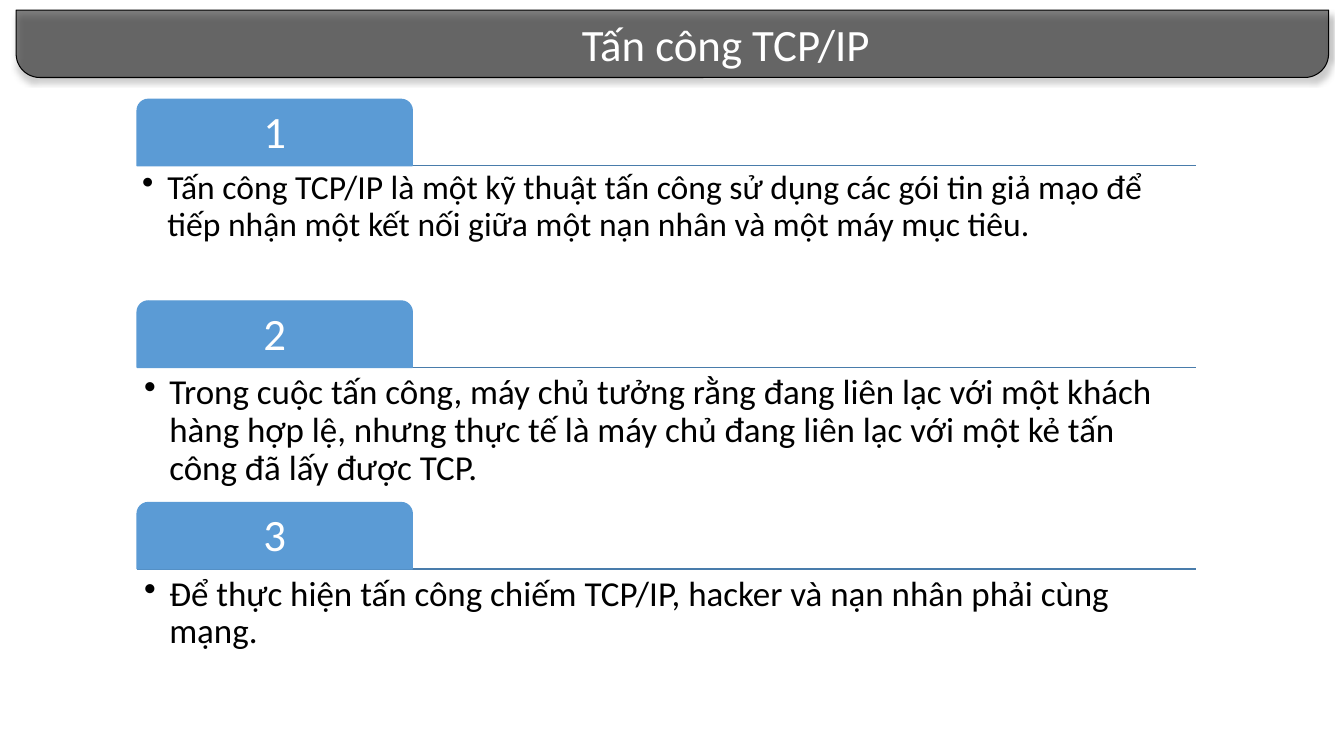
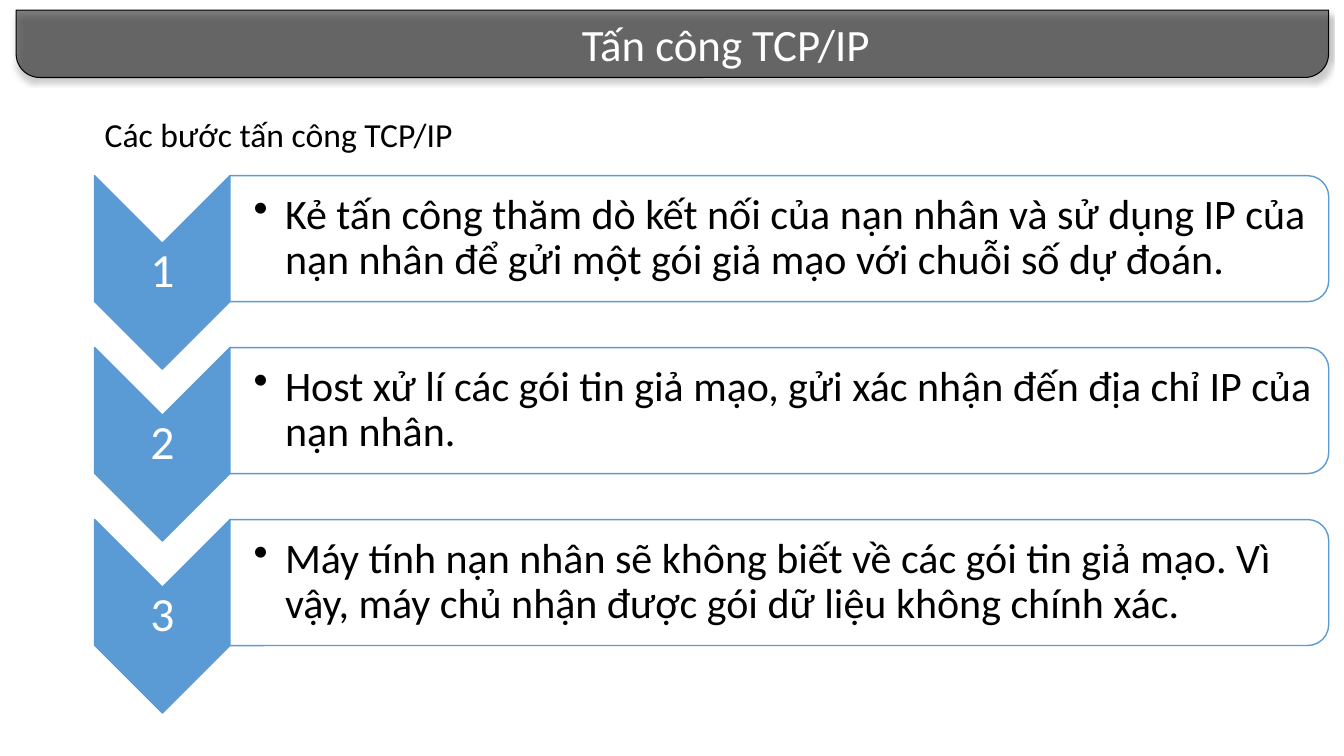
from lxml import etree
from pptx import Presentation
from pptx.dml.color import RGBColor
from pptx.enum.shapes import MSO_CONNECTOR, MSO_SHAPE
from pptx.enum.text import MSO_ANCHOR, PP_ALIGN
from pptx.oxml.ns import qn
from pptx.util import Pt

ROUND = MSO_SHAPE.ROUND_2_SAME_RECTANGLE
CHEVRON = MSO_SHAPE.CHEVRON
STRAIGHT = MSO_CONNECTOR.STRAIGHT
TOP, MIDDLE = MSO_ANCHOR.TOP, MSO_ANCHOR.MIDDLE
LEFT, CENTER = PP_ALIGN.LEFT, PP_ALIGN.CENTER

FONT = "Calibri"
COLORS = {"ink": "000000", "paper": "FFFFFF", "blue": "5B9BD5", "rule": "497CAB"}
TITLE = "Tấn công TCP/IP"

# text, size, padding
FACTS = [
    ("Tấn công TCP/IP là một kỹ thuật tấn công sử dụng các gói tin giả mạo để "
     "tiếp nhận một kết nối giữa một nạn nhân và một máy mục tiêu.", 24, 3.6),
    ("Trong cuộc tấn công, máy chủ tưởng rằng đang liên lạc với một khách hàng "
     "hợp lệ, nhưng thực tế là máy chủ đang liên lạc với một kẻ tấn công đã lấy "
     "được TCP.", 25, 5),
    ("Để thực hiện tấn công chiếm TCP/IP, hacker và nạn nhân phải cùng mạng.",
     25, 5),
]
STEPS = [
    "Kẻ tấn công thăm dò kết nối của nạn nhân và sử dụng IP của nạn nhân để gửi "
    "một gói giả mạo với chuỗi số dự đoán.",
    "Host xử lí các gói tin giả mạo, gửi xác nhận đến địa chỉ IP của nạn nhân.",
    "Máy tính nạn nhân sẽ không biết về các gói tin giả mạo. Vì vậy, máy chủ "
    "nhận được gói dữ liệu không chính xác.",
]


def color(name):
    return RGBColor.from_string(COLORS[name])


def node(parent, tag, **attrs):
    return etree.SubElement(parent, qn(tag), attrs)


def write(shape, text, size, ink="ink", align=LEFT, anchor=TOP,
          pad=(7.2, 3.6, 7.2, 3.6), space=None, bullet=0, wrap=True):
    """Fill a shape with one paragraph; bullet is the hanging indent."""
    frame = shape.text_frame
    frame.word_wrap = wrap
    frame.vertical_anchor = anchor
    (frame.margin_left, frame.margin_top,
     frame.margin_right, frame.margin_bottom) = map(Pt, pad)
    para = frame.paragraphs[0]
    para.alignment = align
    para.line_spacing = space
    if bullet:
        props = para._p.get_or_add_pPr()
        props.set("marL", str(Pt(bullet)))
        props.set("indent", str(-Pt(bullet)))
        node(props, "a:buChar", char="•")
    run = para.add_run()
    run.text = text
    run.font.name = FONT
    run.font.size = Pt(size)
    run.font.color.rgb = color(ink)


def label(slide, box, text, size, **style):
    write(slide.shapes.add_textbox(*map(Pt, box)), text, size, **style)


def draw(slide, kind, box, fill, line, width=1, turn=False):
    """Add a shape that covers box, turned a quarter clockwise if asked."""
    x, y, w, h = box
    if turn:
        x, y, w, h = x + (w - h) / 2, y + (h - w) / 2, h, w
    shape = slide.shapes.add_shape(kind, *map(Pt, (x, y, w, h)))
    shape.rotation = 90 if turn else 0
    shape.shadow.inherit = False
    shape.fill.solid()
    shape.fill.fore_color.rgb = color(fill)
    shape.line.color.rgb = color(line)
    shape.line.width = Pt(width)
    return shape


def rule(slide, x, y, w):
    line = slide.shapes.add_connector(STRAIGHT, Pt(x), Pt(y), Pt(x + w), Pt(y))
    line.line.color.rgb = color("rule")
    line.line.width = Pt(1)
    node(line._element.spPr, "a:effectLst")


def glass(shape):
    """Make the fill half clear and drop a soft shadow."""
    props = shape._element.spPr
    node(props.find(qn("a:solidFill"))[0], "a:alpha", val="50000")
    shadow = node(props.find(qn("a:effectLst")), "a:outerShdw",
                  blurRad=str(Pt(4)), dist=str(Pt(3)), dir="5400000",
                  algn="t", rotWithShape="0")
    tint = node(shadow, "a:srgbClr", val=COLORS["ink"])
    node(tint, "a:alpha", val="40000")


def start(deck):
    """Add a slide with the banner and its title."""
    slide = deck.slides.add_slide(deck.slide_layouts[5])
    band = draw(slide, ROUND, (11.5, 7.2, 937.5, 48.2), "ink", "ink", 0.75)
    band.adjustments[0], band.adjustments[1] = 0, 0.352
    glass(band)
    title = slide.shapes.title
    band._element.addnext(title._element)
    title.left, title.top, title.width, title.height = map(
        Pt, (237, 8, 563, 46))
    write(title, TITLE, 32, ink="paper", align=CENTER)
    return slide


def fact(slide, box, number, text, size, pad):
    """Numbered tab on a rule, with the text below."""
    x, y, w, h = box
    tab = 47.4
    rule(slide, x, y + tab, w)
    head = draw(slide, ROUND, (x, y, 196.5, tab), "blue", "blue")
    write(head, str(number), 32, ink="paper", align=CENTER, anchor=MIDDLE,
          pad=(5,) * 4, space=0.9)
    label(slide, (x, y + tab, w, h - tab), text, size, pad=(pad,) * 4,
          space=0.9, bullet=18)


def step(slide, box, number, text):
    """Numbered chevron pointing down, with a card to its right."""
    x, y, w, h = box
    side, card = 96.7, 90
    draw(slide, CHEVRON, (x, y, side, h), "blue", "blue", turn=True)
    label(slide, (x, y + side / 2, side, h - side), str(number), 34,
          ink="paper", align=CENTER, anchor=MIDDLE, pad=(1.4,) * 4, space=0.9)
    area = (x + side, y, w - side, card)
    draw(slide, ROUND, area, "paper", "blue", turn=True)
    label(slide, (x + side, y, w - side - 4.6, card), text, 30, anchor=MIDDLE,
          pad=(16.8, 1.4, 1.4, 1.4), space=0.9, bullet=22.5)


def main():
    deck = Presentation()
    deck.slide_width, deck.slide_height = Pt(960), Pt(540)

    slide = start(deck)
    for i, item in enumerate(FACTS):
        fact(slide, (98, 71 + 144 * i, 756, 141.7), i + 1, *item)

    slide = start(deck)
    label(slide, (67.7, 77.8, 265, 36), "Các bước tấn công TCP/IP", 24,
          wrap=False)
    for i, text in enumerate(STEPS):
        step(slide, (67.6, 125.5 + 122.8 * i, 881.5, 138.2), i + 1, text)

    deck.save("out.pptx")


if __name__ == "__main__":
    main()
